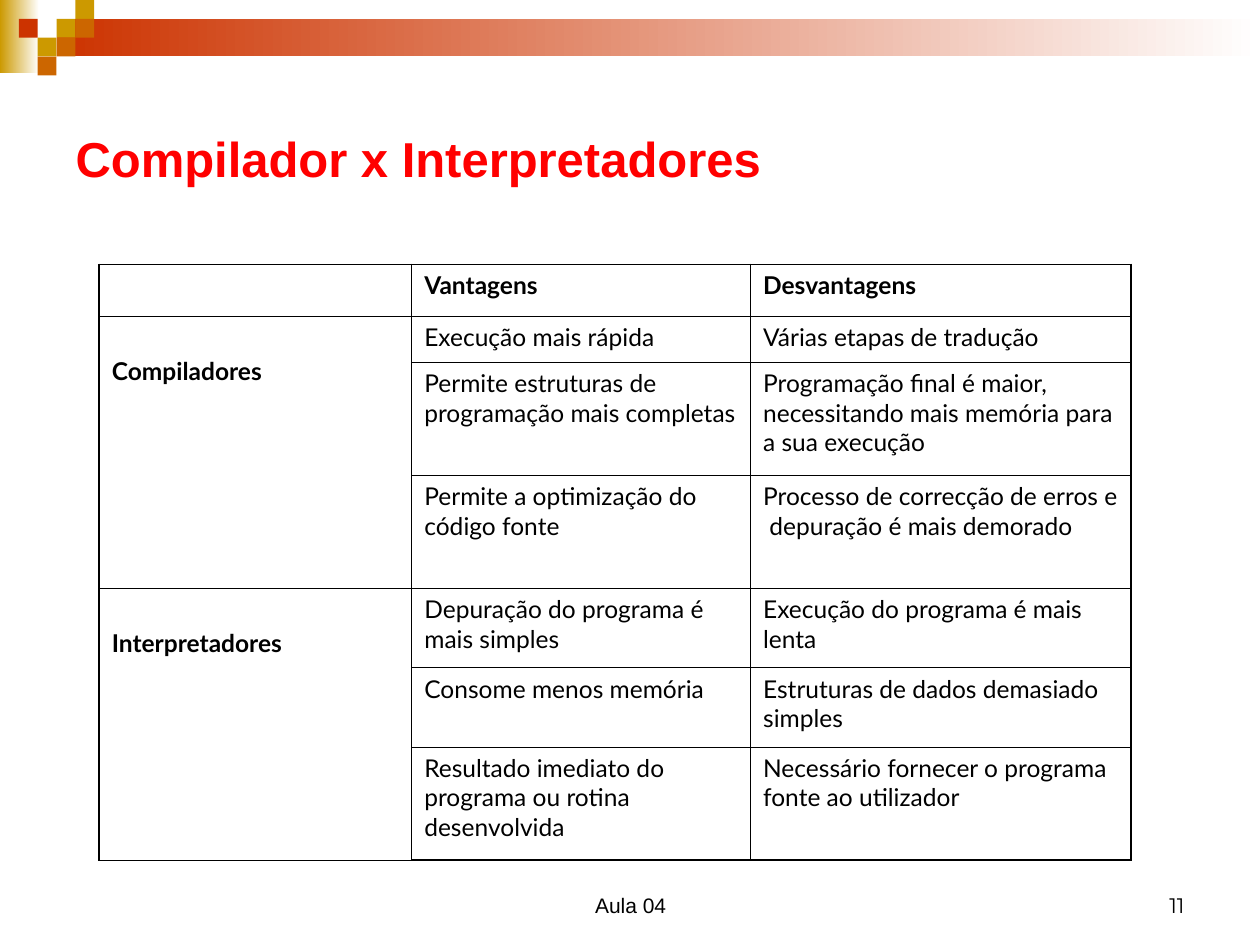
"""Builds the slide that compares compilers with interpreters."""
from dataclasses import dataclass
from typing import Any

from lxml import etree
from pptx import Presentation
from pptx.dml.color import RGBColor
from pptx.enum.shapes import MSO_SHAPE
from pptx.enum.text import MSO_ANCHOR, PP_ALIGN
from pptx.oxml.ns import qn
from pptx.util import Cm, Pt

RECT = MSO_SHAPE.RECTANGLE
MIDDLE, BOTTOM = MSO_ANCHOR.MIDDLE, MSO_ANCHOR.BOTTOM
LEFT, CENTER, RIGHT = PP_ALIGN.LEFT, PP_ALIGN.CENTER, PP_ALIGN.RIGHT


@dataclass(frozen=True)
class Theme:
    gold: str = "CC9900"
    rust: str = "CC3300"
    amber: str = "CC6600"
    white: str = "FFFFFF"
    black: str = "000000"
    red: str = "FF0000"
    head: str = "Arial"
    body: str = "Lato"
    page: str = "Montserrat"
    title: int = 28
    cell: int = 14
    foot: int = 12
    thin: float = 0.45
    thick: float = 1.08


@dataclass(frozen=True)
class Band:
    left: float
    top: float
    width: float
    height: float
    color: str


@dataclass(frozen=True)
class Tile:
    col: int
    row: int
    color: str


@dataclass(frozen=True)
class Note:
    text: str
    left: float
    width: float
    align: Any
    font: str


@dataclass(frozen=True)
class Group:
    name: str
    pairs: tuple[tuple[str, str], ...]


T = Theme()
UNIT = 0.38
BANDS = (
    Band(0, 0, 0.79, 1.47, T.gold),
    Band(3 * UNIT, UNIT, 25.4 - 3 * UNIT, 2 * UNIT, T.rust),
)
TILES = (
    Tile(3, 1, T.gold), Tile(4, 0, T.gold), Tile(4, 1, T.amber),
    Tile(2, 2, T.gold), Tile(1, 1, T.rust), Tile(3, 2, T.amber),
    Tile(2, 3, T.amber),
)
NOTES = (
    Note("Aula 04", 8.69, 8.05, CENTER, T.head),
    Note("11", 18.21, 5.92, RIGHT, T.page),
)
HEADS = ("Vantagens", "Desvantagens")
GROUPS = (
    Group("Compiladores", (
        ("Execução mais rápida", "Várias etapas de tradução"),
        ("Permite estruturas de programação mais completas",
         "Programação final é maior, necessitando mais memória para a sua execução"),
        ("Permite a optimização do código fonte",
         "Processo de correcção de erros e  depuração é mais demorado"),
    )),
    Group("Interpretadores", (
        ("Depuração do programa é mais simples", "Execução do programa é mais lenta"),
        ("Consome menos memória", "Estruturas de dados demasiado simples"),
        ("Resultado imediato do programa ou rotina desenvolvida",
         "Necessário fornecer o programa fonte ao utilizador"),
    )),
)
COLS = (6.3, 6.83, 7.67)
ROWS = (1.05, 0.92, 2.28, 2.28, 1.6, 1.6, 2.28)


def apply(obj: Any, **form: Any) -> None:
    """Set each format value on the object."""
    for key, val in form.items():
        setattr(obj, key, val)


def write(frame: Any, text: str, font: str, size: int, color: str,
          bold: bool = False, align: Any = LEFT) -> None:
    """Put one styled paragraph in a text frame."""
    para = frame.paragraphs[0]
    para.alignment = align
    run = para.add_run()
    run.text = text
    apply(run.font, name=font, size=Pt(size), bold=bold)
    run.font.color.rgb = RGBColor.from_string(color)


def add_band(slide: Any, band: Band, fade: bool) -> None:
    """Draw a plain or fading rectangle."""
    shape = slide.shapes.add_shape(
        RECT, *map(Cm, (band.left, band.top, band.width, band.height)))
    shape.shadow.inherit = False
    shape.line.fill.background()
    if fade:
        shape.fill.gradient()
        shape.fill.gradient_angle = 0
        for stop, color in zip(shape.fill.gradient_stops, (band.color, T.white)):
            stop.color.rgb = RGBColor.from_string(color)
    else:
        shape.fill.solid()
        shape.fill.fore_color.rgb = RGBColor.from_string(band.color)


def add_note(slide: Any, note: Note) -> None:
    """Write one footer text."""
    box = slide.shapes.add_textbox(
        Cm(note.left), Cm(17.35), Cm(note.width), Cm(1.27))
    apply(box.text_frame, word_wrap=True, vertical_anchor=BOTTOM)
    write(box.text_frame, note.text, note.font, T.foot, T.black, align=note.align)


def add_edge(props: Any, side: str, width: float) -> None:
    """Add one cell border."""
    line = etree.SubElement(props, qn(f"a:ln{side}"), w=str(Pt(width)))
    fill = etree.SubElement(line, qn("a:solidFill"))
    etree.SubElement(fill, qn("a:srgbClr"), val=T.black)


def add_grid(slide: Any) -> None:
    """Draw the table of pros and cons."""
    frame = slide.shapes.add_table(
        len(ROWS), len(COLS), Cm(2), Cm(5.33), Cm(sum(COLS)), Cm(sum(ROWS)))
    table = frame.table
    apply(table, first_row=False, horz_banding=False)
    for col, width in zip(table.columns, COLS):
        col.width = Cm(width)
    for row, height in zip(table.rows, ROWS):
        row.height = Cm(height)

    for num, node in enumerate(frame.element.iter(qn("a:tc"))):
        row, col = divmod(num, len(COLS))
        outer = {"L": col == 0, "R": col == len(COLS) - 1,
                 "T": row == 0, "B": row == len(ROWS) - 1}
        for side, edge in outer.items():
            add_edge(node.get_or_add_tcPr(), side, T.thick if edge else T.thin)
        table.cell(row, col).fill.background()

    def put(row: int, col: int, text: str, bold: bool) -> None:
        """Write one cell."""
        write(table.cell(row, col).text_frame, text, T.body, T.cell, T.black, bold)

    for col, head in enumerate(HEADS, 1):
        put(0, col, head, True)
    row = 1
    for group in GROUPS:
        cell = table.cell(row, 0)
        cell.merge(table.cell(row + len(group.pairs) - 1, 0))
        cell.margin_top = Cm(0.8)
        put(row, 0, group.name, True)
        for pair in group.pairs:
            for col, text in enumerate(pair, 1):
                put(row, col, text, False)
            row += 1


def main() -> None:
    """Build and save the slide."""
    deck = Presentation()
    apply(deck, slide_width=Cm(25.4), slide_height=Cm(19.05))
    slide = deck.slides.add_slide(deck.slide_layouts[5])
    for band in BANDS:
        add_band(slide, band, True)
    for tile in TILES:
        add_band(slide, Band(tile.col * UNIT, tile.row * UNIT, UNIT, UNIT, tile.color), False)
    title = slide.shapes.title
    apply(title, left=Cm(1.27), top=Cm(1.27), width=Cm(22.86), height=Cm(3.81))
    title.text_frame.vertical_anchor = MIDDLE
    write(title.text_frame, "Compilador x Interpretadores", T.head, T.title, T.red, True)
    add_grid(slide)
    for note in NOTES:
        add_note(slide, note)
    deck.save("out.pptx")


if __name__ == "__main__":
    main()
